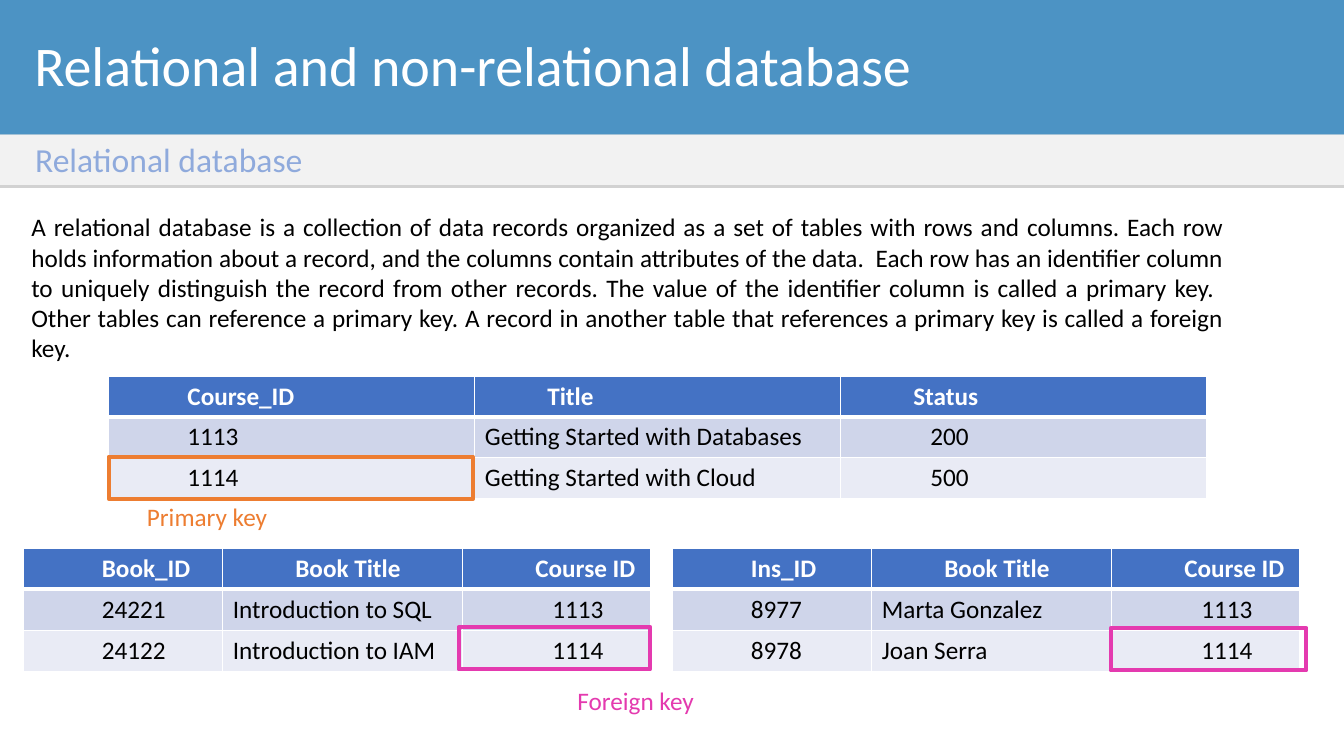
"""Build a slide explaining primary and foreign keys in relational databases."""
from dataclasses import dataclass
from typing import Any

from lxml import etree
from pptx import Presentation
from pptx import util as u
from pptx.dml.color import RGBColor
from pptx.enum import shapes, text
from pptx.oxml import ns


@dataclass(frozen=True)
class Theme:
    """Colours, font and type sizes of the slide."""
    font: str = "Calibri"
    title_size: int = 40
    subtitle_size: int = 24
    text_size: int = 18
    banner: str = "4C93C4"
    strip: str = "F2F2F2"
    shadow: str = "808080"
    subtitle: str = "8FAADC"
    ink: str = "000000"
    paper: str = "FFFFFF"
    header: str = "4472C4"
    bands: tuple[str, str] = ("CFD5EA", "E9EBF5")
    primary: str = "ED7D31"
    foreign: str = "E43AAF"


@dataclass(frozen=True)
class Area:
    """A rectangle in percent of the slide's width and height."""
    left: float
    top: float
    width: float
    height: float

    def emu(self) -> tuple[int, int, int, int]:
        """Return left, top, width and height in EMU."""
        return across(self.left), down(self.top), across(self.width), down(self.height)


@dataclass(frozen=True)
class Relation:
    """A database table with its place and column widths in percent."""
    left: float
    top: float
    widths: tuple[float, ...]
    records: tuple[tuple[str, ...], ...]


@dataclass(frozen=True)
class Band:
    """A full-width stripe with a shadow below it."""
    area: Area
    colour: str


@dataclass(frozen=True)
class KeyBox:
    """An outline around a key cell."""
    area: Area
    colour: str


@dataclass(frozen=True)
class Caption:
    """A line of text in a box of its own."""
    words: str
    area: Area
    size: int
    colour: str


THEME = Theme()
WIDTH, HEIGHT = u.Inches(13.333), u.Inches(7.5)
ROW = 5.42
KEY_HEIGHT = 5.6
HEADER_INDENTS = (0.78, 0.72, 0.72)
RECORD_INDENTS = (0.78, 0.1, 0.89)
PAIR_WIDTHS = (14.85, 17.85, 13.95)

HEADING = "Relational and non-relational database"
EXPLANATION = (
    "A relational database is a collection of data records organized as a set of tables "
    "with rows and columns. Each row holds information about a record, and the columns "
    "contain attributes of the data.  Each row has an identifier column to uniquely "
    "distinguish the record from other records. The value of the identifier column is "
    "called a primary key.  Other tables can reference a primary key. A record in another "
    "table that references a primary key is called a foreign key."
)
BANDS = (
    Band(Area(0, 0, 100, 17.8), THEME.banner),
    Band(Area(0, 17.8, 100, 6.67), THEME.strip),
)
RELATIONS = (
    Relation(8.1, 49.73, (27.23,) * 3, (
        ("Course_ID", "Title", "Status"),
        ("1113", "Getting Started with Databases", "200"),
        ("1114", "Getting Started with Cloud", "500"))),
    Relation(1.73, 72.53, PAIR_WIDTHS, (
        ("Book_ID", "Book Title", "Course ID"),
        ("24221", "Introduction to SQL", "1113"),
        ("24122", "Introduction to IAM", "1114"))),
    Relation(50.02, 72.53, PAIR_WIDTHS, (
        ("Ins_ID", "Book Title", "Course ID"),
        ("8977", "Marta Gonzalez", "1113"),
        ("8978", "Joan Serra", "1114"))),
)
KEY_BOXES = (
    KeyBox(Area(8.1, 60.4, 27.08, KEY_HEIGHT), THEME.primary),
    KeyBox(Area(34.13, 82.93, 14.25, KEY_HEIGHT), THEME.foreign),
    KeyBox(Area(82.65, 83.07, 14.55, KEY_HEIGHT), THEME.foreign),
)
CAPTIONS = (
    Caption("Relational database", Area(1.88, 17.73, 87.9, 6.67),
            THEME.subtitle_size, THEME.subtitle),
    Caption("Primary key", Area(10.2, 65.6, 15, 5.33), THEME.text_size, THEME.primary),
    Caption("Foreign key", Area(42.23, 90, 15, 5.33), THEME.text_size, THEME.foreign),
)


def across(share: float) -> int:
    """Convert a percentage of the slide's width to EMU."""
    return round(WIDTH * share / 100)


def down(share: float) -> int:
    """Convert a percentage of the slide's height to EMU."""
    return round(HEIGHT * share / 100)


def assign(target: Any, values: dict[str, Any]) -> None:
    """Set every attribute named in a dict of format values."""
    for name, value in values.items():
        setattr(target, name, value)


def write(frame: Any, words: str, size: int, colour: str, bold: bool = False,
          align: Any = text.PP_ALIGN.LEFT) -> Any:
    """Write one formatted paragraph into a text frame and return it."""
    frame.text = words
    paragraph = frame.paragraphs[0]
    paragraph.alignment = align
    assign(paragraph.runs[0].font, {"name": THEME.font, "size": u.Pt(size), "bold": bold})
    paragraph.runs[0].font.color.rgb = RGBColor.from_string(colour)
    return paragraph


def place(holder: Any, area: Area) -> None:
    """Move a text shape to an area and fix its wrapping and anchor."""
    assign(holder, dict(zip(("left", "top", "width", "height"), area.emu())))
    assign(holder.text_frame, {"word_wrap": True, "auto_size": text.MSO_AUTO_SIZE.NONE,
                               "vertical_anchor": text.MSO_ANCHOR.TOP})


def colour_node(parent: Any, colour: str) -> Any:
    """Append an RGB colour element to a parent."""
    return etree.SubElement(parent, ns.qn("a:srgbClr"), val=colour)


def add_band(slide: Any, band: Band) -> None:
    """Draw a shadowed stripe behind the title."""
    stripe = slide.shapes.add_shape(shapes.MSO_SHAPE.RECTANGLE, *band.area.emu())
    stripe.fill.solid()
    stripe.fill.fore_color.rgb = RGBColor.from_string(band.colour)
    stripe.line.fill.background()
    stripe.shadow.inherit = False
    effects = stripe.element.spPr.find(ns.qn("a:effectLst"))
    shadow = etree.SubElement(effects, ns.qn("a:outerShdw"), blurRad="0",
                              dist=str(u.Pt(2)), dir="5400000", rotWithShape="0")
    etree.SubElement(colour_node(shadow, THEME.shadow), ns.qn("a:alpha"), val="35000")
    slide.shapes.title.element.addprevious(stripe.element)


def add_borders(cell: Any, is_header: bool) -> None:
    """Give a cell white borders, thicker below the header."""
    properties = cell._tc.get_or_add_tcPr()
    for index, side in enumerate("LRTB"):
        points = 3 if is_header and side == "B" else 1
        edge = etree.Element(ns.qn(f"a:ln{side}"), w=str(u.Pt(points)))
        colour_node(etree.SubElement(edge, ns.qn("a:solidFill")), THEME.paper)
        properties.insert(index, edge)


def add_relation(slide: Any, relation: Relation) -> None:
    """Draw a database table with a header and banded records."""
    area = Area(relation.left, relation.top, sum(relation.widths), ROW * len(relation.records))
    grid = slide.shapes.add_table(len(relation.records), len(relation.widths), *area.emu()).table
    for column, share in zip(grid.columns, relation.widths):
        column.width = across(share)
    for index, record in enumerate(relation.records):
        is_header = index == 0
        fill = THEME.header if is_header else THEME.bands[(index - 1) % 2]
        indents = HEADER_INDENTS if is_header else RECORD_INDENTS
        for position, (words, indent) in enumerate(zip(record, indents)):
            cell = grid.cell(index, position)
            assign(cell, {"margin_left": u.Inches(indent), "margin_right": u.Inches(0.05)})
            cell.fill.solid()
            cell.fill.fore_color.rgb = RGBColor.from_string(fill)
            write(cell.text_frame, words, THEME.text_size,
                  THEME.paper if is_header else THEME.ink, bold=is_header)
            add_borders(cell, is_header)


def add_key_box(slide: Any, key: KeyBox) -> None:
    """Outline a key cell."""
    outline = slide.shapes.add_shape(shapes.MSO_SHAPE.RECTANGLE, *key.area.emu())
    outline.fill.background()
    outline.line.color.rgb = RGBColor.from_string(key.colour)
    outline.line.width = u.Pt(3)
    outline.shadow.inherit = False


def add_caption(slide: Any, caption: Caption) -> None:
    """Place a caption."""
    label = slide.shapes.add_textbox(*caption.area.emu())
    place(label, caption.area)
    write(label.text_frame, caption.words, caption.size, caption.colour)


def main() -> None:
    """Build and save the slide."""
    deck = Presentation()
    assign(deck, {"slide_width": WIDTH, "slide_height": HEIGHT})
    slide = deck.slides.add_slide(deck.slide_layouts[1])
    heading, explanation = slide.shapes.title, slide.placeholders[1]
    place(heading, Area(1.8, 3.33, 95.7, 10.27))
    write(heading.text_frame, HEADING, THEME.title_size, THEME.paper)
    place(explanation, Area(1.58, 27.33, 90.23, 21.6))
    paragraph = write(explanation.text_frame, EXPLANATION, THEME.text_size, THEME.ink,
                      align=text.PP_ALIGN.JUSTIFY)
    paragraph.space_before = u.Pt(0)
    properties = paragraph._p.get_or_add_pPr()
    properties.set("marL", "0")
    properties.set("indent", "0")
    etree.SubElement(properties, ns.qn("a:buNone"))
    for draw, parts in ((add_band, BANDS), (add_relation, RELATIONS),
                        (add_key_box, KEY_BOXES), (add_caption, CAPTIONS)):
        for part in parts:
            draw(slide, part)
    deck.save("out.pptx")


if __name__ == "__main__":
    main()
